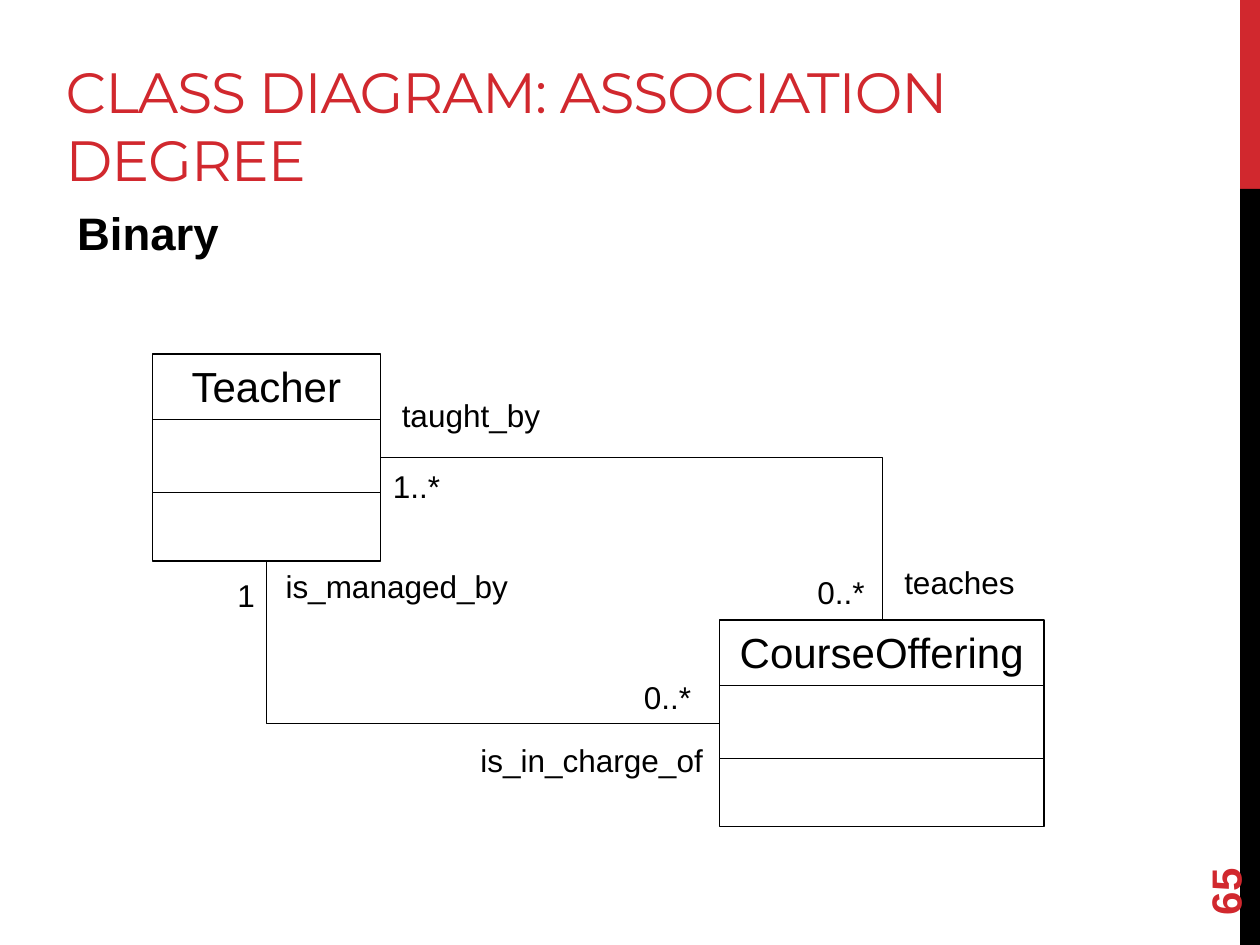
from lxml.etree import SubElement
from pptx import Presentation
from pptx.dml.color import RGBColor
from pptx.enum.shapes import MSO_CONNECTOR as Connector, MSO_SHAPE as Shape
from pptx.enum.text import MSO_ANCHOR as Anchor, MSO_AUTO_SIZE as AutoSize, PP_ALIGN as Align
from pptx.oxml.ns import qn
from pptx.util import Cm, Pt

RED = RGBColor(0xD1, 0x28, 0x2E)
BLACK = RGBColor(0, 0, 0)
WHITE = RGBColor(255, 255, 255)

# Content: boxes are left, top, width, height in cm
TITLE = "CLASS DIAGRAM: ASSOCIATION DEGREE"
SUBTITLE = "Binary"
PAGE_NUMBER = "65"
SIDE_BARS = [(RED, 0, 3.81), (BLACK, 3.81, 15.24)]  # colour, top, height
CLASSES = {  # name: left, top, width
    "Teacher": (3.07, 7.14, 4.6),
    "CourseOffering": (14.5, 12.5, 6.55),
}
CLASS_HEIGHT = 4.17
ATTRIBUTES_OFFSET, ATTRIBUTES_HEIGHT = 1.32, 1.47
ASSOCIATIONS = [  # from class, side, to class, side
    ("Teacher", 3, "CourseOffering", 0),
    ("Teacher", 2, "CourseOffering", 1),
]
LABEL_HEIGHT = 1.02
LABELS = [  # text, left, top, width, alignment
    ("teaches", 17.98, 11.23, 3.66, Align.LEFT),
    ("taught_by", 7.85, 7.85, 3.66, Align.LEFT),
    ("1..*", 7.67, 9.3, 2.31, Align.LEFT),
    ("0..*", 16.23, 11.43, 2.31, Align.LEFT),
    ("is_in_charge_of", 8.81, 14.81, 5.61, Align.RIGHT),
    ("0..*", 12.73, 13.54, 1.78, Align.LEFT),
    ("is_managed_by", 4.88, 11.3, 5.61, Align.RIGHT),
    ("1", 3.61, 11.48, 1.78, Align.RIGHT),
]


def place(shape, *box):
    for name, value in zip(("left", "top", "width", "height"), box):
        setattr(shape, name, Cm(value))


def write(shape, text, size, color=BLACK, align=Align.LEFT, anchor=Anchor.TOP,
          name="Arial", bold=False):
    frame = shape.text_frame
    frame.word_wrap, frame.auto_size = True, AutoSize.NONE
    frame.vertical_anchor = anchor
    paragraph = frame.paragraphs[0]
    paragraph.alignment = align
    run = paragraph.add_run()
    run.text = text
    run.font.color.rgb = color
    for key, value in {"name": name, "size": Pt(size), "bold": bold}.items():
        setattr(run.font, key, value)
    return paragraph


def add_box(shapes, box, fill, line=None):
    shape = shapes.add_shape(Shape.RECTANGLE, *map(Cm, box))
    shape.shadow.inherit = False
    shape.fill.solid()
    shape.fill.fore_color.rgb = fill
    if line is None:
        shape.line.fill.background()
    else:
        shape.line.color.rgb = line
        shape.line.width = Pt(0.75)
    return shape


def add_class(slide, name, left, top, width):
    group = slide.shapes.add_group_shape()
    outline = add_box(group.shapes, (left, top, width, CLASS_HEIGHT), WHITE, BLACK)
    write(outline, name, 24, align=Align.CENTER)
    add_box(group.shapes, (left, top + ATTRIBUTES_OFFSET, width, ATTRIBUTES_HEIGHT),
            WHITE, BLACK)
    return outline


def add_association(slide, start, start_side, end, end_side):
    connector = slide.shapes.add_connector(Connector.ELBOW, 0, 0, 0, 0)
    connector.begin_connect(start, start_side)
    connector.end_connect(end, end_side)
    connector.line.color.rgb = BLACK
    connector.line.width = Pt(0.25)
    properties = connector._element.spPr
    SubElement(properties, qn("a:effectLst"))
    # One bend; a line leaving downwards is the same bend turned and mirrored
    properties.find(qn("a:prstGeom")).set("prst", "bentConnector2")
    if start_side == 2:
        width, height = connector.width, connector.height
        connector.left += (width - height) // 2
        connector.top += (height - width) // 2
        connector.width, connector.height = height, width
        transform = properties.find(qn("a:xfrm"))
        transform.set("rot", str(270 * 60000))
        transform.set("flipH", "1")


def main():
    presentation = Presentation()
    presentation.slide_width, presentation.slide_height = Cm(25.4), Cm(19.05)
    slide = presentation.slides.add_slide(presentation.slide_layouts[1])

    # Side bars
    for color, top, height in SIDE_BARS:
        add_box(slide.shapes, (25, top, 0.4, height), color)

    # Title and subtitle
    title, body = slide.placeholders
    place(title, 1.07, 0.84, 21.59, 3.18)
    paragraph = write(title, TITLE, 32.4, RED, anchor=Anchor.BOTTOM, name="Montserrat")
    paragraph.runs[0].font._element.set("spc", "-60")
    place(body, 1.3, 4.01, 22.86, 2.16)
    paragraph = write(body, SUBTITLE, 26, bold=True)
    paragraph.space_before, paragraph.space_after = Pt(5.2), Pt(6)
    bullet = paragraph._p.get_or_add_pPr()
    bullet.set("marL", "0")
    bullet.set("indent", "0")
    SubElement(bullet, qn("a:buNone"))

    # Page number
    number = slide.shapes.add_textbox(Cm(22.86), Cm(16.36), Cm(3.66), Cm(1.02))
    number.rotation = 270
    write(number, PAGE_NUMBER, 24, RED, anchor=Anchor.MIDDLE, bold=True)

    # Class diagram
    outlines = {name: add_class(slide, name, *box) for name, box in CLASSES.items()}
    for start, start_side, end, end_side in ASSOCIATIONS:
        add_association(slide, outlines[start], start_side, outlines[end], end_side)
    for text, left, top, width, align in LABELS:
        label = slide.shapes.add_textbox(*map(Cm, (left, top, width, LABEL_HEIGHT)))
        write(label, text, 18, align=align)

    presentation.save("out.pptx")


if __name__ == "__main__":
    main()
